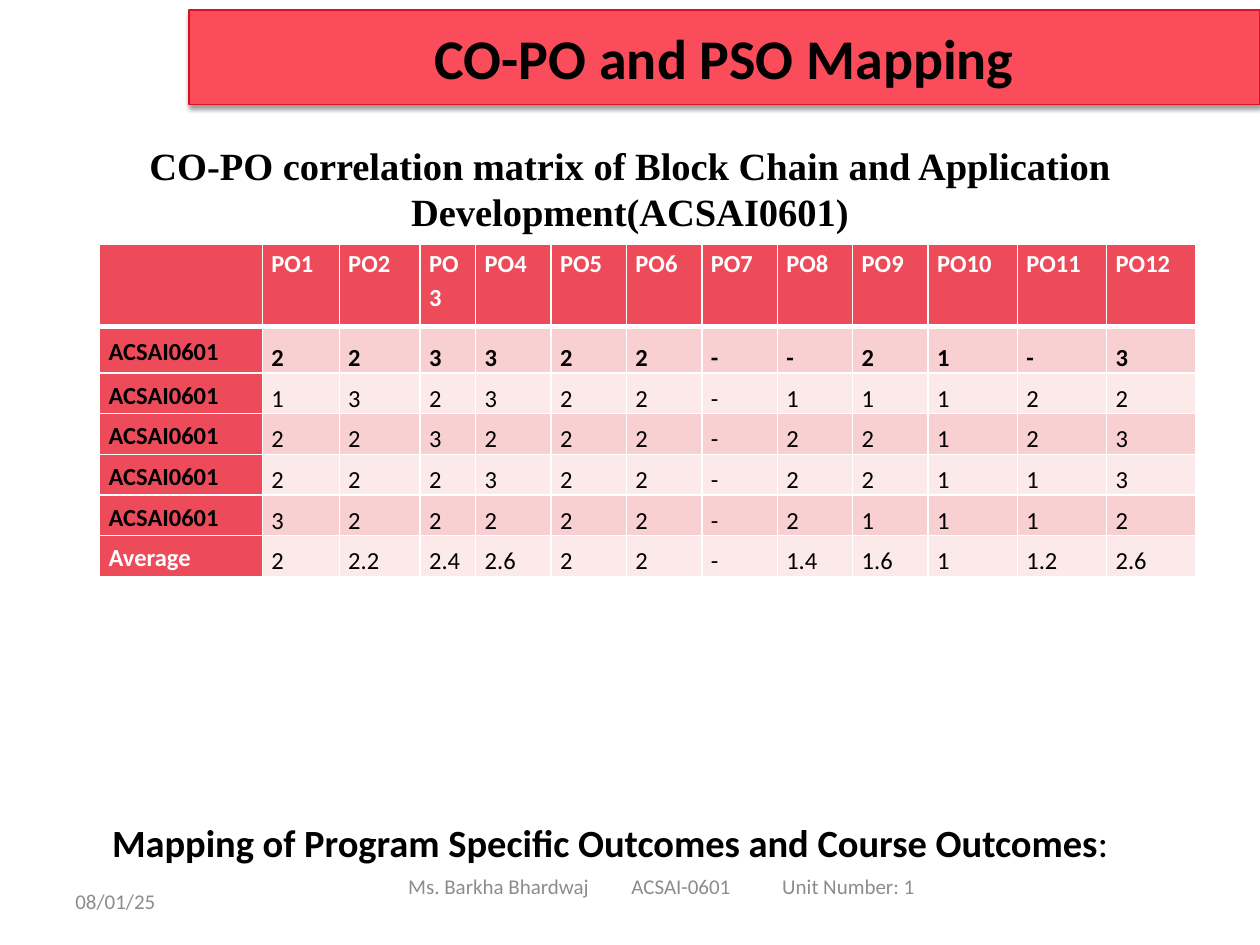
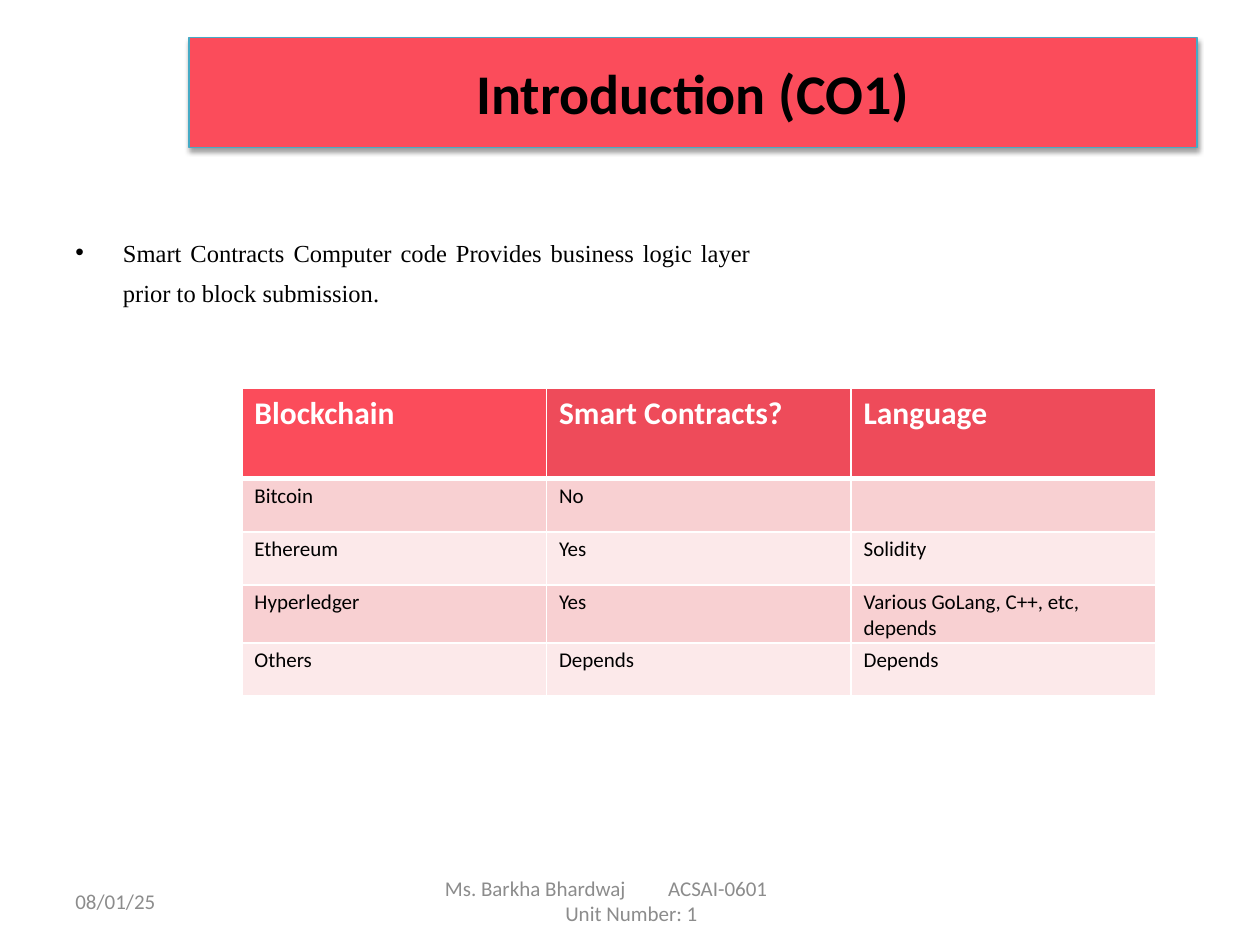
from lxml import etree
from pptx import Presentation
from pptx import util as u
from pptx.dml.color import RGBColor
from pptx.enum import text
from pptx.oxml import ns, parse_xml

Cm, Pt = u.Cm, u.Pt
ALIGN, ANCHOR = text.PP_ALIGN, text.MSO_ANCHOR

COLORS = {
    "banner": "FB4C5B", "crimson": "D61426", "teal": "46AAC5",
    "header": "EE4B5A", "band_dark": "F8D0D2", "band_light": "FCE9EA",
    "ink": "000000", "paper": "FFFFFF", "muted": "8C8C8C",
}
SANS, SERIF = "Calibri", "Times New Roman"

PO_WIDTHS = [3.28, 1.55, 1.63, 1.12] + [1.52] * 6 + [1.8] * 3
PO_HEIGHTS = [1.65, 0.94] + [0.82] * 5
PO_SCORES = [
    "2 2 3 3 2 2 - - 2 1 - 3",
    "1 3 2 3 2 2 - 1 1 1 2 2",
    "2 2 3 2 2 2 - 2 2 1 2 3",
    "2 2 2 3 2 2 - 2 2 1 1 3",
    "3 2 2 2 2 2 - 2 1 1 1 2",
    "2 2.2 2.4 2.6 2 2 - 1.4 1.6 1 1.2 2.6",
]

CONTRACT_HEIGHTS = [1.83, 1.07, 1.07, 1.17, 1.07]
CONTRACT_ROWS = [
    ["Blockchain", "Smart Contracts?", "Language"],
    ["Bitcoin", "No", ""],
    ["Ethereum", "Yes", "Solidity"],
    ["Hyperledger", "Yes", "Various GoLang, C++, etc, depends"],
    ["Others", "Depends", "Depends"],
]


def rgb(name):
    return RGBColor.from_string(COLORS[name])


def band(row):
    return "band_dark" if row % 2 else "band_light"


class Deck:
    """Holds the shared style and the current slide."""

    def __init__(self):
        self.prs = Presentation()
        self.prs.slide_width, self.prs.slide_height = Cm(25.4), Cm(19.05)
        self.slide = None

    def new_slide(self, title, box, line):
        self.slide = self.prs.slides.add_slide(self.prs.slide_layouts[5])
        banner = self.slide.shapes.title
        banner.left, banner.top, banner.width, banner.height = map(Cm, box)
        banner.fill.solid()
        banner.fill.fore_color.rgb = rgb("banner")
        banner.line.color.rgb = rgb(line)
        banner.line.width = Pt(0.75)
        banner.element.spPr.append(parse_xml(
            f'<a:effectLst {ns.nsdecls("a")}><a:outerShdw blurRad="{Pt(3.1)}" '
            f'dist="{Pt(1.6)}" dir="5400000" rotWithShape="0">'
            f'<a:srgbClr val="{COLORS["ink"]}"><a:alpha val="38000"/></a:srgbClr>'
            '</a:outerShdw></a:effectLst>'))
        frame = banner.text_frame
        frame.vertical_anchor = ANCHOR.MIDDLE
        self.add_text(frame.paragraphs[0], title, 32, bold=True, align=ALIGN.CENTER)

    def add_text(self, paragraph, content, size, color="ink", bold=False,
                 font=SANS, align=ALIGN.LEFT):
        paragraph.alignment = align
        run = paragraph.add_run()
        run.text = content
        run.font.name, run.font.size, run.font.bold = font, Pt(size), bold
        run.font.color.rgb = rgb(color)

    def text_box(self, box, anchor=ANCHOR.TOP):
        frame = self.slide.shapes.add_textbox(*map(Cm, box)).text_frame
        frame.word_wrap = True
        frame.vertical_anchor = anchor
        return frame

    def bullet(self, paragraph, indent):
        props = paragraph._p.get_or_add_pPr()
        props.set("marL", str(Cm(indent)))
        props.set("indent", str(-Cm(indent)))
        etree.SubElement(props, ns.qn("a:buFont")).set("typeface", "Arial")
        etree.SubElement(props, ns.qn("a:buChar")).set("char", "•")

    def tab_stops(self, paragraph, stops):
        tabs = etree.SubElement(paragraph._p.get_or_add_pPr(), ns.qn("a:tabLst"))
        for stop in stops:
            tab = etree.SubElement(tabs, ns.qn("a:tab"))
            tab.set("pos", str(Cm(stop)))
            tab.set("algn", "l")

    def footer(self, box, inset, lines):
        date = self.text_box((1.27, 17.65, 5.92, 1.02), ANCHOR.MIDDLE)
        self.add_text(date.paragraphs[0], "08/01/25", 12, "muted")
        course = self.text_box(box, ANCHOR.MIDDLE)
        course.margin_left = Cm(inset)
        for i, line in enumerate(lines):
            paragraph = course.add_paragraph() if i else course.paragraphs[0]
            if not i:
                self.tab_stops(paragraph, [4.5, 7.54])
            self.add_text(paragraph, line, 12, "muted",
                          align=ALIGN.CENTER if i else ALIGN.LEFT)

    def table(self, left, top, widths, heights):
        grid = self.slide.shapes.add_table(
            len(heights), len(widths), Cm(left), Cm(top),
            Cm(sum(widths)), Cm(sum(heights))).table
        grid.horz_banding = False
        for column, width in zip(grid.columns, widths):
            column.width = Cm(width)
        for row, height in zip(grid.rows, heights):
            row.height = Cm(height)
        return grid

    def cell(self, grid, row, col, content, fill, size, color="ink", bold=False,
             margins=(0.25, 0.13, 0.25, 0.13), anchor=ANCHOR.TOP,
             spacing=None, after=None, align=ALIGN.LEFT):
        cell = grid.cell(row, col)
        (cell.margin_left, cell.margin_top,
         cell.margin_right, cell.margin_bottom) = map(Cm, margins)
        cell.vertical_anchor = anchor
        cell.fill.solid()
        cell.fill.fore_color.rgb = rgb(fill)
        self.borders(cell, top=3 if row == 1 else 1, bottom=3 if row == 0 else 1)
        if content:
            paragraph = cell.text_frame.paragraphs[0]
            paragraph.line_spacing = spacing
            paragraph.space_after = after
            self.add_text(paragraph, content, size, color, bold, align=align)

    def borders(self, cell, top, bottom):
        props = cell._tc.get_or_add_tcPr()
        sides = {"L": 1, "R": 1, "T": top, "B": bottom}
        for i, (side, width) in enumerate(sides.items()):
            props.insert(i, parse_xml(
                f'<a:ln{side} {ns.nsdecls("a")} w="{Pt(width)}"><a:solidFill>'
                f'<a:srgbClr val="{COLORS["paper"]}"/></a:solidFill></a:ln{side}>'))


def mapping_slide(deck):
    deck.new_slide("CO-PO and PSO Mapping", (3.81, 0.2, 21.59, 1.91), "crimson")
    heading = deck.text_box((1.27, 2.74, 22.86, 2.13))
    deck.add_text(heading.paragraphs[0],
                  "CO-PO correlation matrix of Block Chain and Application "
                  "Development(ACSAI0601)", 22, bold=True, font=SERIF,
                  align=ALIGN.CENTER)

    # Correlation matrix
    matrix = deck.table(2.01, 4.93, PO_WIDTHS, PO_HEIGHTS)
    style = dict(size=14, margins=(0.18, 0, 0.18, 0), spacing=1.15)
    deck.cell(matrix, 0, 0, "", "header", **style)
    for col in range(1, len(PO_WIDTHS)):
        deck.cell(matrix, 0, col, f"PO{col}", "header", color="paper", bold=True,
                  align=ALIGN.JUSTIFY, **style)
    for row, scores in enumerate(PO_SCORES, 1):
        average = row == len(PO_SCORES)
        deck.cell(matrix, row, 0, "Average" if average else "ACSAI0601", "header",
                  color="paper" if average else "ink", bold=True,
                  anchor=ANCHOR.MIDDLE, **style)
        for col, score in enumerate(scores.split(), 1):
            deck.cell(matrix, row, col, score, band(row), bold=row == 1,
                      anchor=ANCHOR.BOTTOM, after=Pt(10), **style)

    # Lead-in and footer
    lead_in = deck.text_box((2.01, 11.68, 22.12, 5.89), ANCHOR.BOTTOM).paragraphs[0]
    deck.add_text(lead_in, "Mapping of Program Specific Outcomes and Course Outcomes",
                  22, bold=True)
    deck.add_text(lead_in, ":", 22)
    deck.footer((6.35, 17.35, 13.97, 1.02), 1.88,
                ["Ms. Barkha Bhardwaj\tACSAI-0601\tUnit Number: 1"])


def introduction_slide(deck):
    deck.new_slide("Introduction (CO1)", (3.81, 0.76, 20.32, 2.21), "teal")

    # Definition
    definition = deck.text_box((1.27, 4.45, 14.12, 2.2)).paragraphs[0]
    deck.bullet(definition, 0.96)
    definition.line_spacing = Pt(23)
    deck.add_text(definition, "Smart Contracts Computer code Provides business logic "
                  "layer prior to block submission.", 14, font=SERIF,
                  align=ALIGN.JUSTIFY)

    # Smart contract support by blockchain
    support = deck.table(4.88, 7.82, [6.14] * 3, CONTRACT_HEIGHTS)
    for row, entries in enumerate(CONTRACT_ROWS):
        for col, entry in enumerate(entries):
            if row == 0:
                deck.cell(support, row, col, entry, "header" if col else "banner",
                          18, "paper", bold=True)
            else:
                deck.cell(support, row, col, entry, band(row), 12,
                          margins=(0.25, 0.1, 0.25, 0))

    deck.footer((8.69, 17.65, 8.05, 1.02), 0.28,
                ["Ms. Barkha Bhardwaj\tACSAI-0601", "Unit Number: 1"])


def main():
    deck = Deck()
    mapping_slide(deck)
    introduction_slide(deck)
    deck.prs.save("out.pptx")


if __name__ == "__main__":
    main()
